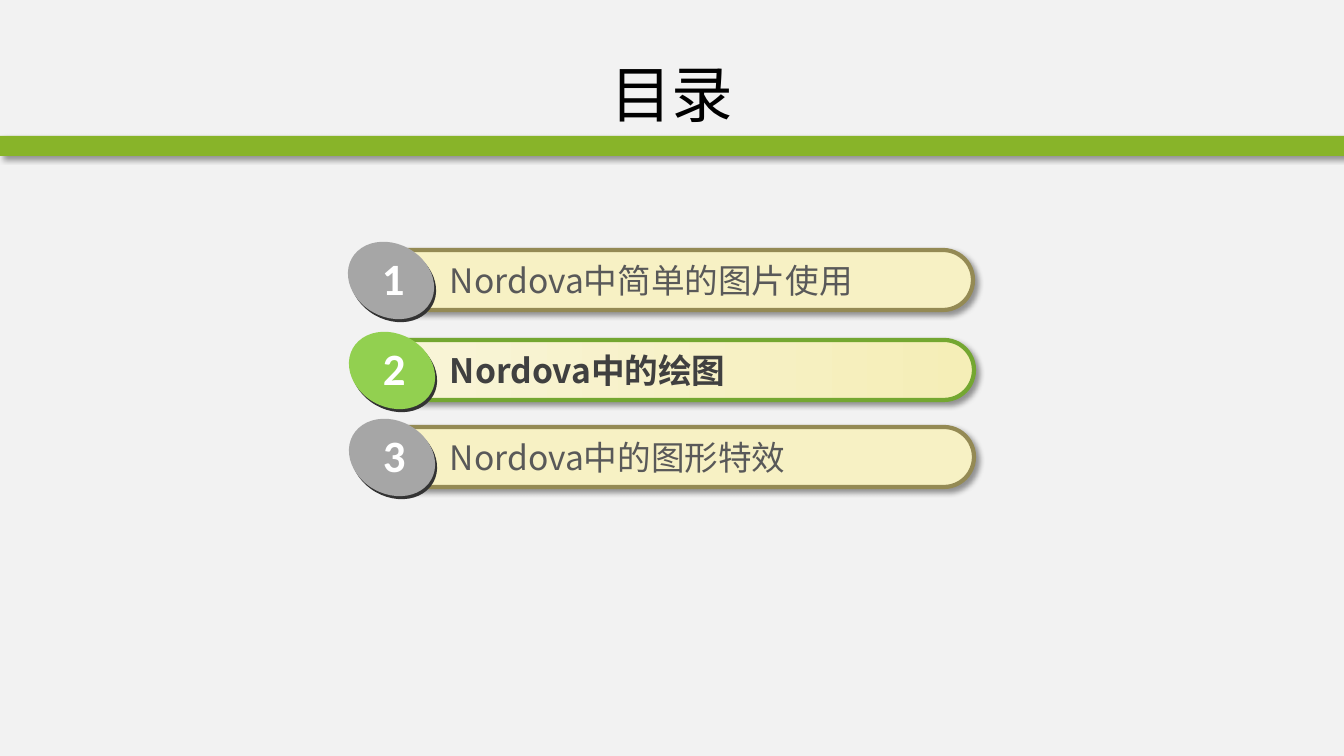
from dataclasses import dataclass

from lxml.etree import SubElement
from pptx import Presentation
from pptx.dml.color import RGBColor
from pptx.enum.shapes import MSO_SHAPE
from pptx.enum.text import MSO_ANCHOR, MSO_AUTO_SIZE, PP_ALIGN
from pptx.oxml.ns import qn
from pptx.shapes.autoshape import Shape
from pptx.shapes.shapetree import GroupShapes, SlideShapes
from pptx.util import Emu, Pt

EMU_PER_PX = 914400 / 100.8
SLIDE_WIDTH, SLIDE_HEIGHT = 1344, 756
CHINESE_FONT = "Noto Sans CJK SC"
COLORS = {
    "background": "F2F2F2",
    "band": "88B429",
    "black": "000000",
    "white": "FFFFFF",
    "cream": "F7F1C4",
    "cream_light": "F9F5D9",
    "cream_dark": "F5EEB7",
    "olive": "948A54",
    "leaf": "74A731",
    "lime": "92D050",
    "gray": "A6A6A6",
    "charcoal": "333333",
    "label": "595959",
    "label_active": "404040",
}


@dataclass
class Chapter:
    title: str
    top: int
    left: int = 369
    label_width: int = 463
    active: bool = False


CHAPTERS = [
    Chapter("Nordova中简单的图片使用", 250, left=368),
    Chapter("Nordova中的绘图", 340, active=True),
    Chapter("Nordova中的图形特效", 427, label_width=494),
]


def px(length: int) -> Emu:
    return Emu(round(length * EMU_PER_PX))


def rgb(name: str) -> RGBColor:
    return RGBColor.from_string(COLORS[name])


def add_shadow(shape: Shape) -> None:
    """Fill the shape's effect list with a soft shadow to the lower right."""
    effects = shape._element.spPr.find(qn("a:effectLst"))
    shadow = SubElement(effects, qn("a:outerShdw"), blurRad=str(Pt(4)), dist=str(Pt(3)),
                        dir=str(45 * 60000), algn="tl", rotWithShape="0")
    color = SubElement(shadow, qn("a:srgbClr"), val=COLORS["black"])
    SubElement(color, qn("a:alpha"), val="40000")


def add_figure(shapes: SlideShapes | GroupShapes, kind: MSO_SHAPE, left: int, top: int,
               width: int, height: int, *, fill: str, line: str | None = None,
               rotation: float = 0, shadow: bool = False) -> Shape:
    shape = shapes.add_shape(kind, px(left), px(top), px(width), px(height))
    shape.rotation = rotation
    shape.fill.solid()
    shape.fill.fore_color.rgb = rgb(fill)
    if line:
        shape.line.color.rgb = rgb(line)
        shape.line.width = Pt(3)
    else:
        shape.line.fill.background()
    shape.shadow.inherit = False
    if shadow:
        add_shadow(shape)
    return shape


def add_text(shapes: SlideShapes | GroupShapes, text: str, left: int, top: int,
             width: int, height: int, *, size: int, color: str, font: str = CHINESE_FONT,
             bold: bool = False, wrap: bool = True, grow: bool = True,
             align: PP_ALIGN = PP_ALIGN.LEFT, anchor: MSO_ANCHOR = MSO_ANCHOR.TOP) -> None:
    frame = shapes.add_textbox(px(left), px(top), px(width), px(height)).text_frame
    frame.word_wrap = wrap
    frame.auto_size = MSO_AUTO_SIZE.SHAPE_TO_FIT_TEXT if grow else MSO_AUTO_SIZE.NONE
    frame.vertical_anchor = anchor
    paragraph = frame.paragraphs[0]
    paragraph.alignment = align
    run = paragraph.add_run()
    run.text = text
    run.font.size = Pt(size)
    run.font.bold = bold
    run.font.color.rgb = rgb(color)
    run.font.name = font
    SubElement(run.font._element, qn("a:ea"), typeface=font)


def add_chapter(shapes: SlideShapes, number: int, chapter: Chapter) -> None:
    group = shapes.add_group_shape().shapes
    left, top, active = chapter.left, chapter.top, chapter.active
    bar = add_figure(group, MSO_SHAPE.ROUNDED_RECTANGLE, left, top, 605, 60, fill="cream",
                     line="leaf" if active else "olive", shadow=True)
    bar.adjustments[0] = 0.5
    if active:
        bar.fill.gradient()
        bar.fill.gradient_angle = 0
        for stop, position, name in zip(bar.fill.gradient_stops, (0, 1),
                                        ("cream_light", "cream_dark")):
            stop.position = position
            stop.color.rgb = rgb(name)
    add_text(group, chapter.title, 440, top + 5, chapter.label_width, 51, size=24,
             color="label_active" if active else "label", bold=active)
    badge_color = "lime" if active else "gray"
    for offset, rise, color in ((-20, 3, "charcoal"), (-22, 6, badge_color)):
        add_figure(group, MSO_SHAPE.OVAL, left + offset, top - rise, 90, 73,
                   fill=color, rotation=29.3)
    add_text(group, str(number), left + 4, top - 4, 43, 64, size=32, color="white",
             font="Calibri", bold=True, wrap=False)


def main() -> None:
    presentation = Presentation()
    presentation.slide_width = px(SLIDE_WIDTH)
    presentation.slide_height = px(SLIDE_HEIGHT)
    slide = presentation.slides.add_slide(presentation.slide_layouts[6])
    slide.background.fill.solid()
    slide.background.fill.fore_color.rgb = rgb("background")

    add_figure(slide.shapes, MSO_SHAPE.RECTANGLE, 0, 136, SLIDE_WIDTH, 20,
               fill="band", shadow=True)
    add_text(slide.shapes, "目录", 67, 30, 1210, 126, size=44, color="black", grow=False,
             align=PP_ALIGN.CENTER, anchor=MSO_ANCHOR.MIDDLE)
    for number, chapter in enumerate(CHAPTERS, start=1):
        add_chapter(slide.shapes, number, chapter)

    presentation.save("out.pptx")


if __name__ == "__main__":
    main()
